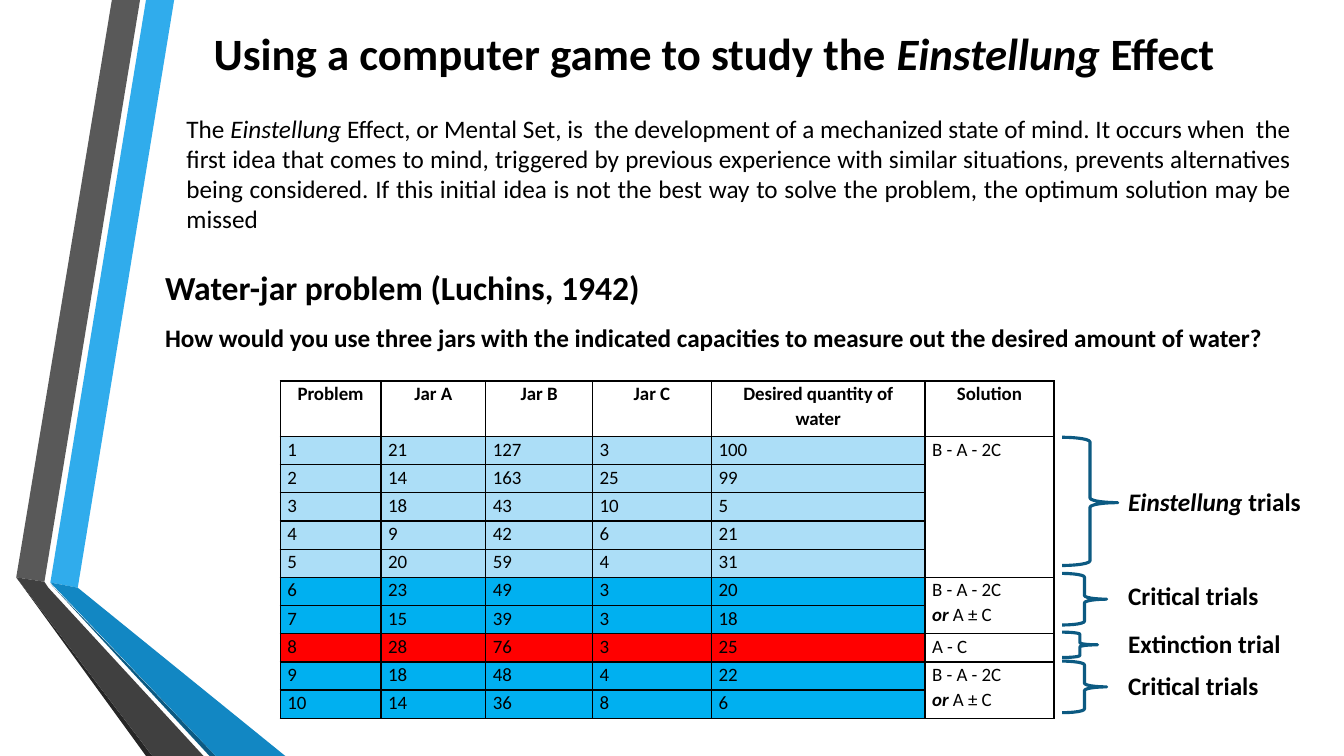
import pptx
import pptx.dml.color
import pptx.enum.shapes
import pptx.enum.text
import pptx.oxml
import pptx.util

Cm = pptx.util.Cm
Pt = pptx.util.Pt
ALIGN = pptx.enum.text.PP_ALIGN

COLORS = {
    "text": "000000", "sky": "30ACEC", "grey": "595959", "black": "262626",
    "navy": "0C5A82", "blue": "1287C3", "charcoal": "404040",
    "set": "ACDEF7", "critical": "00B0F0", "extinction": "FF0000",
}
NS = "http://schemas.openxmlformats.org/drawingml/2006/main"


def rgb(name):
    return pptx.dml.color.RGBColor.from_string(COLORS[name])


class SlideBuilder:
    """Holds the slide and its text style; adds one kind of element per method."""

    font = "Calibri"

    def __init__(self, slide):
        self.slide = slide

    def line(self, frame, words, size, bold=False, align=ALIGN.LEFT,
             spacing=1.0, strong_italics=False):
        """Add a paragraph; text between asterisks becomes italic."""
        paragraph = frame.add_paragraph() if frame.text else frame.paragraphs[0]
        paragraph.alignment = align
        paragraph.line_spacing = spacing
        paragraph.font.name = self.font
        paragraph.font.size = Pt(size)
        paragraph.font.bold = bold
        paragraph.font.color.rgb = rgb("text")
        for number, part in enumerate(words.split("*")):
            if not part:
                continue
            run = paragraph.add_run()
            run.text = part
            if number % 2:
                run.font.italic = True
                if strong_italics:
                    run.font.bold = True

    def title(self, left, top, width, height, words, size):
        heading = self.slide.shapes.title
        heading.left, heading.top = Cm(left), Cm(top)
        heading.width, heading.height = Cm(width), Cm(height)
        frame = heading.text_frame
        frame.auto_size = pptx.enum.text.MSO_AUTO_SIZE.NONE
        frame.vertical_anchor = pptx.enum.text.MSO_ANCHOR.TOP
        self.line(frame, words, size, bold=True)

    def text(self, left, top, width, height, wrap=True):
        box = self.slide.shapes.add_textbox(Cm(left), Cm(top), Cm(width), Cm(height))
        box.text_frame.word_wrap = wrap
        return box.text_frame

    def ribbon(self, points, color):
        corners = [(Cm(x), Cm(y)) for x, y in points]
        outline = self.slide.shapes.build_freeform(*corners[0])
        outline.add_line_segments(corners[1:], close=True)
        ribbon = outline.convert_to_shape()
        ribbon.shadow.inherit = False
        ribbon.fill.solid()
        ribbon.fill.fore_color.rgb = rgb(color)
        ribbon.line.fill.background()

    def brace(self, left, top, width, height, point):
        brace = self.slide.shapes.add_shape(
            pptx.enum.shapes.MSO_SHAPE.RIGHT_BRACE,
            Cm(left), Cm(top), Cm(width), Cm(height))
        brace.adjustments[1] = point
        brace.shadow.inherit = False
        brace.fill.background()
        brace.line.color.rgb = rgb("navy")
        brace.line.width = Pt(2.25)

    def table(self, left, top, widths, heights):
        grid = self.slide.shapes.add_table(
            len(heights), len(widths), Cm(left), Cm(top),
            Cm(sum(widths)), Cm(sum(heights))).table
        grid.first_row = grid.horz_banding = False
        for column, width in zip(grid.columns, widths):
            column.width = Cm(width)
        for row, height in zip(grid.rows, heights):
            row.height = Cm(height)
        for cell in grid.iter_cells():
            cell.margin_left = cell.margin_right = Cm(0.18)
            cell.margin_top = cell.margin_bottom = 0
            for side in ("lnL", "lnR", "lnT", "lnB"):
                cell._tc.get_or_add_tcPr().append(pptx.oxml.parse_xml(
                    f'<a:{side} xmlns:a="{NS}" w="12700"><a:solidFill>'
                    f'<a:srgbClr val="{COLORS["text"]}"/></a:solidFill></a:{side}>'))
            cell.fill.background()
        return grid


RIBBONS = [
    ("sky", [(1.27, 14.68), (1.96, 14.81), (4.39, 0), (3.68, 0)]),
    ("grey", [(3.53, 0), (2.82, 0), (0.41, 14.55), (1.12, 14.66)]),
    ("black", [(0.41, 14.55), (3.68, 19.05), (3.84, 19.05)]),
    ("navy", [(1.27, 14.71), (5.28, 19.05), (5.44, 19.05)]),
    ("blue", [(1.27, 14.68), (5.44, 19.05), (7.19, 19.05), (1.96, 14.81)]),
    ("charcoal", [(0.41, 14.55), (3.84, 19.05), (5.13, 19.05), (1.22, 14.81),
                  (1.12, 14.66)]),
]
HEADERS = ["Problem", "Jar A", "Jar B", "Jar C", "Desired quantity of water", "Solution"]
# Jar A, Jar B, Jar C, desired quantity
PROBLEMS = [
    (21, 127, 3, 100), (14, 163, 25, 99), (18, 43, 10, 5), (9, 42, 6, 21),
    (20, 59, 4, 31), (23, 49, 3, 20), (15, 39, 3, 18), (28, 76, 3, 25),
    (18, 48, 4, 22), (14, 36, 8, 6),
]
# First problem, last problem, colour, solution
TRIALS = [
    (1, 5, "set", ["B - A - 2C"]),
    (6, 7, "critical", ["B - A - 2C", "*or* A ± C"]),
    (8, 8, "extinction", ["A - C"]),
    (9, 10, "critical", ["B - A - 2C", "*or* A ± C"]),
]
# Brace top, width, height, point; label, label top, label width
BRACES = [
    (11.02, 1.4, 3.23, 0.51, "*Einstellung* trials", 12.14, 5.13),
    (14.45, 1.12, 1.3, 0.5, "Critical trials", 14.5, 3.96),
    (15.93, 0.89, 0.64, 0.5, "Extinction trial", 15.72, 4.62),
    (16.66, 1.12, 1.3, 0.5, "Critical trials", 16.76, 3.96),
]


def main():
    deck = pptx.Presentation()
    deck.slide_width, deck.slide_height = Cm(33.87), Cm(19.05)
    page = SlideBuilder(deck.slides.add_slide(deck.slide_layouts[5]))

    # Folded ribbons on the left
    for color, points in RIBBONS:
        page.ribbon(points, color)

    # Title and definition
    page.title(5.13, 0.51, 28, 1.63,
               "Using a computer game to study the *Einstellung* Effect", 32)
    definition = page.text(4.45, 2.72, 28.35, 3.33)
    page.line(
        definition,
        "The *Einstellung* Effect, or Mental Set, is  the development of a mechanized "
        "state of mind. It occurs when  the first idea that comes to mind, triggered by "
        "previous experience with similar situations, prevents alternatives being "
        "considered. If this initial idea is not the best way to solve the problem, "
        "the optimum solution may be missed", 18, align=ALIGN.JUSTIFY)

    # Water-jar question
    question = page.text(3.91, 6.6, 29.69, 2.44)
    page.line(question, "Water-jar problem (Luchins, 1942)", 24, bold=True)
    page.line(question, "How would you use three jars with the indicated capacities "
              "to measure out the desired amount of water?", 18, bold=True, spacing=1.5)

    # Table of problems
    jars = page.table(7.06, 9.6, [2.54, 2.64, 2.69, 3, 5.38, 3.25],
                      [1.4] + [0.71] * len(PROBLEMS))
    for column, header in enumerate(HEADERS):
        page.line(jars.cell(0, column).text_frame, header, 13.5, bold=True,
                  align=ALIGN.CENTER, spacing=1.07)
    for first, last, color, solution in TRIALS:
        for problem in range(first, last + 1):
            for column, value in enumerate((problem, *PROBLEMS[problem - 1])):
                cell = jars.cell(problem, column)
                page.line(cell.text_frame, str(value), 13.5, spacing=1.07)
                cell.fill.solid()
                cell.fill.fore_color.rgb = rgb(color)
        answer = jars.cell(first, 5)
        if last > first:
            answer.merge(jars.cell(last, 5))
        for step in solution:
            page.line(answer.text_frame, step, 13.5, spacing=1.07, strong_italics=True)

    # Braces naming the kinds of trial
    for top, width, height, point, label, label_top, label_width in BRACES:
        page.brace(26.77, top, width, height, point)
        page.line(page.text(28.18, label_top, label_width, 1.02, wrap=False),
                  label, 18, bold=True)

    deck.save("out.pptx")


if __name__ == "__main__":
    main()
